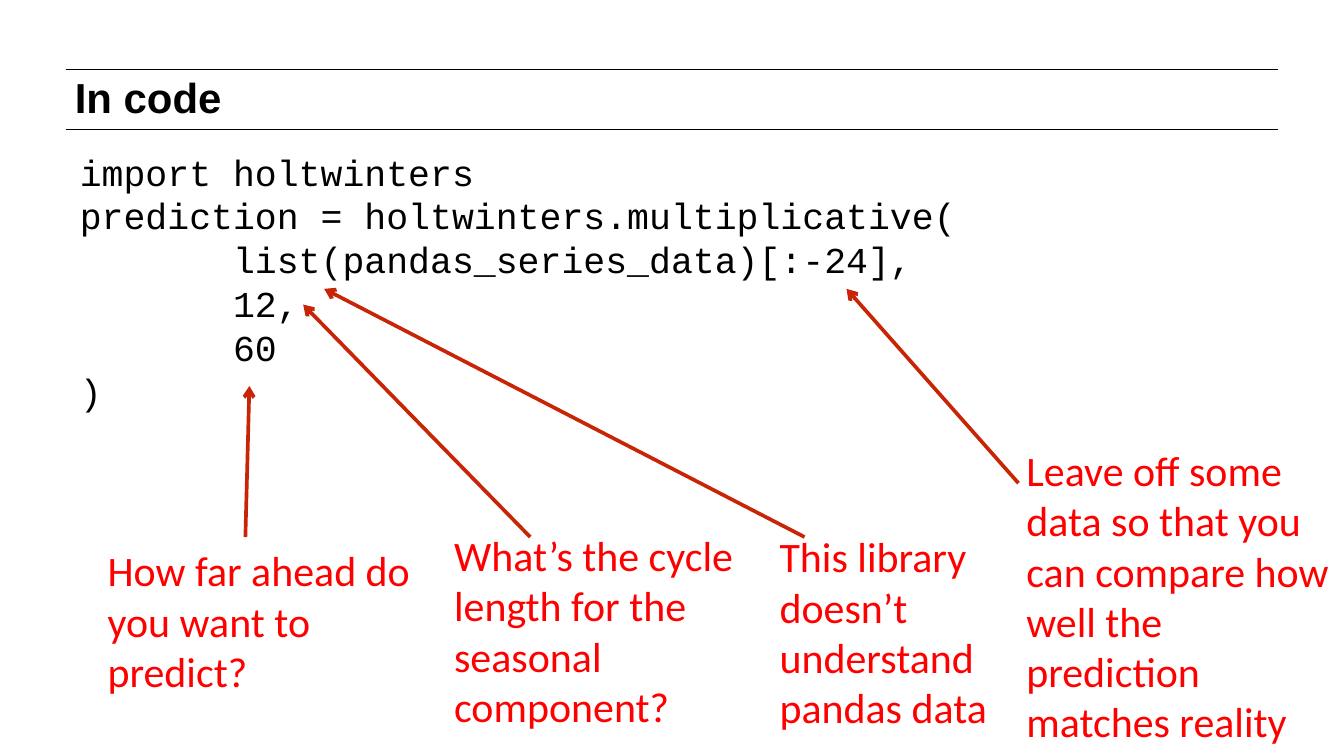
from lxml.etree import SubElement
from pptx import Presentation
from pptx.dml.color import RGBColor as RGB
from pptx.enum.shapes import MSO_CONNECTOR as CONN
from pptx.enum.text import MSO_ANCHOR as ANCHOR, MSO_AUTO_SIZE as FIT, PP_ALIGN as ALIGN
from pptx.oxml.ns import qn
from pptx.util import Pt

HUES = {"ink": "000000", "note": "FF0000", "arrow": "C82506", "back": "FFFFFF"}

CODE = """import holtwinters
prediction = holtwinters.multiplicative(
       list(pandas_series_data)[:-24],
       12,
       60
)"""

NOTES = [
    ("How far ahead do you want to predict?",
     (54.72, 294.48, 91.44), (134.64, 294.48, 136.8, 211.68)),
    ("What’s the cycle length for the seasonal component?",
     (244.8, 285.84, 119.52), (290.88, 294.48, 166.32, 167.04)),
    ("This library doesn’t understand pandas data",
     (423.36, 286.56, 119.52), (441.36, 294.48, 177.84, 158.4)),
    ("Leave off some data so that you can compare how well the prediction matches reality",
     (558.72, 239.04, 174.96), (558.72, 264.96, 464.4, 158.4)),
]


class Deck:
    def __init__(self, wide, high):
        self.prs = Presentation()
        self.prs.slide_width, self.prs.slide_height = Pt(wide), Pt(high)
        self.slide = self.prs.slides.add_slide(self.prs.slide_layouts[5])
        fill = self.slide.background.fill
        fill.solid()
        fill.fore_color.rgb = RGB.from_string(HUES["back"])

    def style(self, shape, text, font, size, hue, bold=False, lead=None,
              anchor=ANCHOR.TOP, fit=FIT.NONE, left=4.32):
        frame = shape.text_frame
        frame.text = text
        frame.word_wrap = True
        frame.auto_size = fit
        frame.vertical_anchor = anchor
        frame.margin_left = Pt(left)
        frame.margin_right = frame.margin_top = frame.margin_bottom = Pt(4.32)
        for para in frame.paragraphs:
            para.alignment = ALIGN.LEFT
            para.space_before = Pt(0)
            if lead:
                para.line_spacing = Pt(lead)
            for run in para.runs:
                run.font.name = font
                run.font.size = Pt(size)
                run.font.bold = bold
                run.font.color.rgb = RGB.from_string(HUES[hue])

    def title(self, text, x, y, w, h):
        box = self.slide.shapes.title
        box.left, box.top, box.width, box.height = Pt(x), Pt(y), Pt(w), Pt(h)
        self.style(box, text, "Arial", 23, "ink", bold=True, lead=23)

    def box(self, x, y, w, h):
        return self.slide.shapes.add_textbox(Pt(x), Pt(y), Pt(w), Pt(h))

    def code(self, text, x, y, w, h):
        self.style(self.box(x, y, w, h), text, "Courier New", 20, "ink", lead=24, left=7.2)

    def note(self, text, x, y, h):
        self.style(self.box(x, y, 178.56, h), text, "Calibri", 23, "note",
                   anchor=ANCHOR.MIDDLE, fit=FIT.SHAPE_TO_FIT_TEXT)

    def line(self, x1, y1, x2, y2, hue="ink", width=0.5):
        line = self.slide.shapes.add_connector(CONN.STRAIGHT, Pt(x1), Pt(y1), Pt(x2), Pt(y2))
        line.line.width = Pt(width)
        line.line.color.rgb = RGB.from_string(HUES[hue])
        SubElement(line._element.spPr, qn("a:effectLst"))
        return line

    def arrow(self, x1, y1, x2, y2):
        line = self.line(x1, y1, x2, y2, "arrow", 2)
        SubElement(line.line._get_or_add_ln(), qn("a:tailEnd"), type="arrow")


def main():
    deck = Deck(737.28, 414)
    for y in (38.16, 71.28):
        deck.line(36, y, 701.28, y)
    deck.title("In code", 36.72, 39.6, 619.92, 37.44)
    deck.code(CODE, 36.72, 77.76, 580.32, 205.2)
    for text, place, ends in NOTES:
        deck.arrow(*ends)
        deck.note(text, *place)
    deck.prs.save("out.pptx")


if __name__ == "__main__":
    main()
